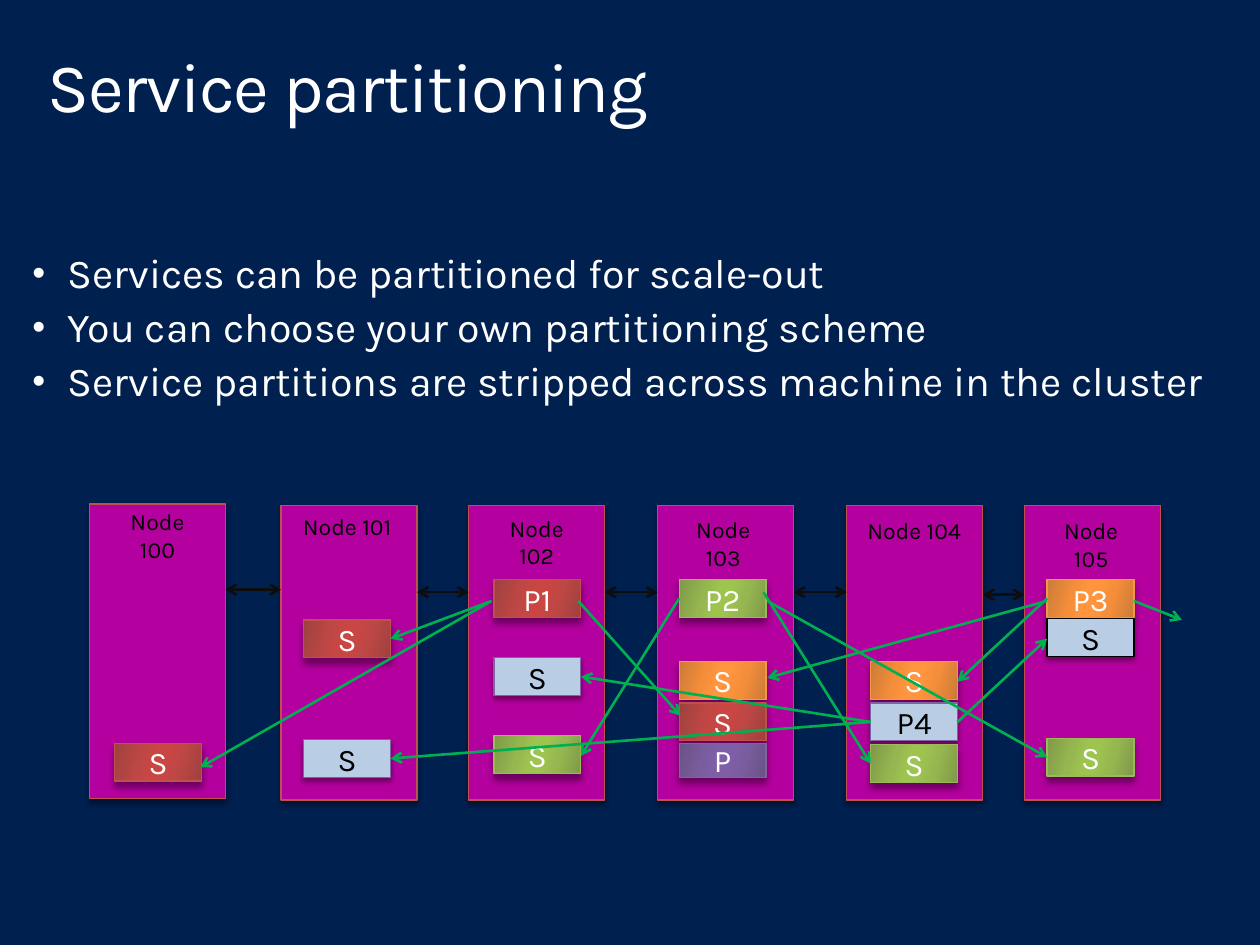
from lxml import etree
from pptx import Presentation
from pptx.dml.color import RGBColor
from pptx.enum.shapes import MSO_CONNECTOR, MSO_SHAPE
from pptx.enum.text import MSO_ANCHOR, PP_ALIGN
from pptx.oxml.ns import qn
from pptx.util import Inches, Pt

RECTANGLE = MSO_SHAPE.RECTANGLE
STRAIGHT, ELBOW = MSO_CONNECTOR.STRAIGHT, MSO_CONNECTOR.ELBOW
CENTER, LEFT = PP_ALIGN.CENTER, PP_ALIGN.LEFT
MIDDLE = MSO_ANCHOR.MIDDLE

FONT = "Karla"
WHITE, BLACK, GREEN = "FFFFFF", "000000", "00B050"
NODE_WIDTH, NODE_HEIGHT = 1.08, 2.34
REPLICA_WIDTH, REPLICA_HEIGHT = 0.69, 0.3

TITLE = "Service partitioning"
BULLETS = [
    "Services can be partitioned for scale-out",
    "You can choose your own partitioning scheme",
    "Service partitions are stripped across machine in the cluster",
]
GRADIENTS = {
    "red": ("9D413F", "BD4744", "CA4643", "C0504D"),
    "green": ("7F9949", "96B750", "9EC450", "9BBB59"),
    "orange": ("CA7B39", "F48E3A", "FF953E", "F79646"),
    "purple": ("695285", "7A5D9E", "7F5EA8", "8064A2"),
}
PLAIN_OUTLINES = {"blue": "8064A2", "blue, black edge": BLACK}
NODES = [
    {"name": "Node 100", "left": 0.71, "top": 4, "label": (0.78, 3.98, 0.94), "wrap": False,
     "column": 0.91, "replicas": [("S", "red", 5.9)]},
    {"name": "Node 101", "left": 2.23, "top": 4.01, "label": (2.3, 4.02, 0.91), "wrap": False,
     "column": 2.41, "replicas": [("S", "red", 4.92), ("S", "blue", 5.87)]},
    {"name": "Node 102", "left": 3.72, "top": 4.01, "label": (3.86, 4.03, 0.8), "wrap": True,
     "column": 3.92, "replicas": [("P1", "red", 4.6), ("S", "blue", 5.22), ("S", "green", 5.84)]},
    {"name": "Node 103", "left": 5.22, "top": 4.01, "label": (5.34, 4.04, 0.8), "wrap": True,
     "column": 5.39, "replicas": [("P2", "green", 4.6), ("S", "orange", 5.25),
                                  ("S", "red", 5.58), ("P", "purple", 5.9)]},
    {"name": "Node 104", "left": 6.72, "top": 4.01, "label": (6.78, 4.05, 0.95), "wrap": False,
     "column": 6.91, "replicas": [("S", "orange", 5.25), ("P4", "blue", 5.58), ("S", "green", 5.91)]},
    {"name": "Node 105", "left": 8.13, "top": 4.01, "label": (8.19, 4.05, 0.94), "wrap": False,
     "column": 8.31, "replicas": [("P3", "orange", 4.6), ("S", "blue, black edge", 4.91),
                                  ("S", "green", 5.86)]},
]
NODE_LINK_HEIGHTS = [4.68, 4.7, 4.7, 4.7, 4.72]
REPLICATION_LINES = [
    ((3.9, 4.77), [(3.1, 5.07), (1.59, 6.09)]),
    ((4.59, 4.77), [(5.4, 5.68)]),
    ((8.31, 4.77), [(6.09, 5.38)]),
    ((8.31, 4.75), [(7.6, 5.41)]),
    ((9, 4.77), [(9.38, 4.92)]),
    ((5.39, 4.75), [(4.61, 6)]),
    ((6.06, 4.7), [(6.91, 6.06)]),
    ((6.09, 4.77), [(8.31, 6.01)]),
    ((6.91, 5.73), [(4.61, 5.37), (3.1, 6.02)]),
    ((7.6, 5.73), [(8.31, 5.07)]),
]


def color(value):
    return RGBColor.from_string(value)


def add_child(parent, tag, **attributes):
    return etree.SubElement(parent, qn(tag), {key: str(value) for key, value in attributes.items()})


def style_para(para, size, text_color, align):
    para.alignment = align
    for span in para.runs:
        span.font.size = Pt(size)
        span.font.name = FONT
        span.font.color.rgb = color(text_color)


def add_text(page, place, lines, size, text_color, align=LEFT, wrap=True):
    box = page.shapes.add_textbox(*[Inches(value) for value in place])
    frame = box.text_frame
    frame.text = "\n".join(lines)
    frame.word_wrap = wrap
    for para in frame.paragraphs:
        style_para(para, size, text_color, align)
    return frame


def add_shadow(shape, blur, distance):
    effects = add_child(shape._element.spPr, "a:effectLst")
    shadow = add_child(effects, "a:outerShdw", blurRad=Pt(blur), dist=Pt(distance),
                       dir=90 * 60000, rotWithShape=0)
    shade = add_child(shadow, "a:srgbClr", val=BLACK)
    add_child(shade, "a:alpha", val=40000)


def fill_gradient(shape, edge, middle, center):
    shape.fill.gradient()
    shape.fill.gradient_angle = 344
    stops = shape._element.spPr.find(qn("a:gradFill")).find(qn("a:gsLst"))
    for stop in list(stops):
        stops.remove(stop)
    for position, value in zip((0, 30, 45, 55, 73, 100),
                               (edge, middle, center, center, middle, edge)):
        add_child(add_child(stops, "a:gs", pos=position * 1000), "a:srgbClr", val=value)


def add_box(page, left, top, width, height, outline):
    shape = page.shapes.add_shape(RECTANGLE, Inches(left), Inches(top), Inches(width), Inches(height))
    shape.line.color.rgb = color(outline)
    shape.line.width = Pt(0.75)
    return shape


def add_node(page, node):
    shape = add_box(page, node["left"], node["top"], NODE_WIDTH, NODE_HEIGHT, "C0504D")
    shape.fill.solid()
    shape.fill.fore_color.rgb = color("B4009E")
    add_shadow(shape, 3, 2)


def add_replica(page, left, top, name, kind):
    height = 0.27 if name == "P" else REPLICA_HEIGHT
    if kind in GRADIENTS:
        *shades, outline = GRADIENTS[kind]
        shape = add_box(page, left, top, REPLICA_WIDTH, height, outline)
        fill_gradient(shape, *shades)
        add_shadow(shape, 4, 3.4)
        text_color = WHITE
    else:
        shape = add_box(page, left, top, REPLICA_WIDTH, height, PLAIN_OUTLINES[kind])
        shape.fill.solid()
        shape.fill.fore_color.rgb = color("B9CDE5")
        add_shadow(shape, 3, 2)
        text_color = BLACK
    frame = shape.text_frame
    frame.text = name
    frame.vertical_anchor = MIDDLE
    style_para(frame.paragraphs[0], 18, text_color, CENTER)


def add_arrow(page, kind, start, end, line_color, both_ends=False):
    arrow = page.shapes.add_connector(kind, *[Inches(value) for value in (*start, *end)])
    arrow.line.color.rgb = color(line_color)
    arrow.line.width = Pt(1.5)
    line = arrow.line._get_or_add_ln()
    if both_ends:
        add_child(line, "a:headEnd", type="arrow")
    add_child(line, "a:tailEnd", type="arrow")
    add_child(arrow._element.spPr, "a:effectLst")


def add_bullets(page):
    frame = add_text(page, (0.16, 1.96, 9.84, 2.22), BULLETS, 23.5, WHITE)
    for para in frame.paragraphs:
        para.line_spacing = 0.9
        para.space_before = Pt(5.5)
        settings = para._p.get_or_add_pPr()
        settings.set("marL", str(Inches(0.28)))
        settings.set("indent", str(Inches(-0.28)))
        add_child(settings, "a:buSzPct", val=90000)
        add_child(settings, "a:buFont", typeface="Arial")
        add_child(settings, "a:buChar", char="•")


def add_title(page):
    frame = add_text(page, (0.22, 0.32, 9.56, 0.98), [TITLE], 39.7, WHITE)
    frame.margin_left = frame.margin_right = Inches(0.16)
    frame.margin_top = frame.margin_bottom = Inches(0.1)
    para = frame.paragraphs[0]
    para.line_spacing = 0.9
    para.runs[0].font._element.set("spc", "-80")


def main():
    deck = Presentation()
    deck.slide_width, deck.slide_height = Inches(10), Inches(7.5)
    page = deck.slides.add_slide(deck.slide_layouts[6])
    page.background.fill.solid()
    page.background.fill.fore_color.rgb = color("002050")

    add_title(page)
    for node in NODES:
        add_node(page, node)
        for name, kind, top in node["replicas"]:
            add_replica(page, node["column"], top, name, kind)
    for node, neighbor, height in zip(NODES, NODES[1:], NODE_LINK_HEIGHTS):
        add_arrow(page, ELBOW, (neighbor["left"], height),
                  (node["left"] + NODE_WIDTH, height), "0D0D0D", True)
    for start, ends in REPLICATION_LINES:
        for end in ends:
            add_arrow(page, STRAIGHT, start, end, GREEN)
    for node in NODES:
        add_text(page, (*node["label"], 0.32), [node["name"]], 13.2, BLACK, CENTER, node["wrap"])
    add_bullets(page)
    deck.save("out.pptx")


if __name__ == "__main__":
    main()
